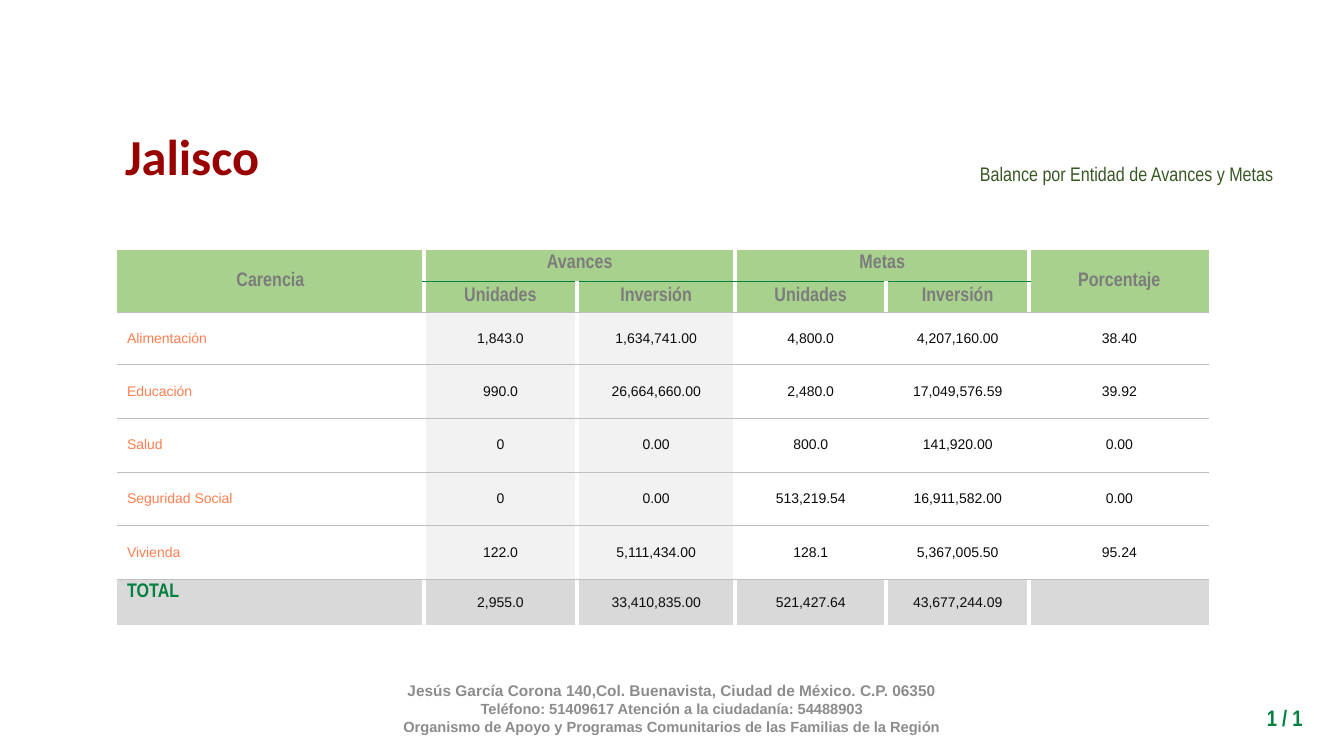
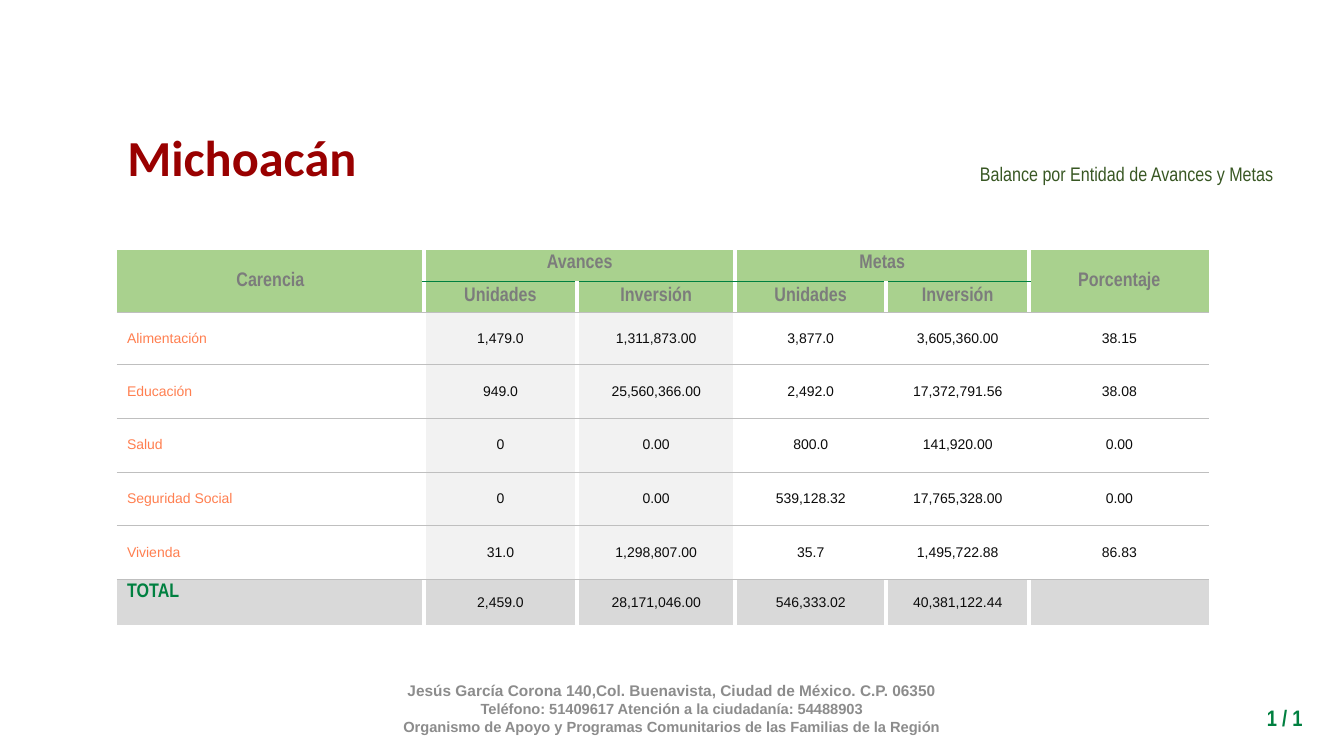
from dataclasses import dataclass
from typing import Optional

from lxml.etree import SubElement as Sub
from pptx import Presentation
from pptx.dml.color import RGBColor
from pptx.enum.text import MSO_ANCHOR as Anchor, MSO_AUTO_SIZE as Fit, PP_ALIGN as Align
from pptx.oxml.ns import qn
from pptx.util import Inches, Pt

WIDE, TALL = Inches(13.33), Inches(7.5)
GREEN, PALE, SILVER, RULE, WHITE = "008040", "F2F2F2", "D9D9D9", "BFBFBF", "FFFFFF"
COLS = (28.1, 14, 14.5, 13.8, 13.1, 16.5)
ROWS = (4.13, 4.13, 6.9, 7.1, 7.1, 7.1, 7.1, 6.25)
HEAD = (
    ("Carencia", "Avances", "", "Metas", "", "Porcentaje"),
    ("", "Unidades", "Inversión", "Unidades", "Inversión", ""),
)
NAMES = ("Alimentación", "Educación", "Salud", "Seguridad Social", "Vivienda", "TOTAL")
MERGES = (((0, 0), (1, 0)), ((0, 1), (0, 2)), ((0, 3), (0, 4)), ((0, 5), (1, 5)))
LAST = len(ROWS) - 1


@dataclass(frozen=True)
class Area:
    left: float
    top: float
    wide: float
    tall: float

    def emu(self) -> tuple:
        return (across(self.left), down(self.top), across(self.wide), down(self.tall))


@dataclass(frozen=True)
class Style:
    size: float
    face: str
    hue: str
    bold: bool = False
    align: Align = Align.CENTER


@dataclass(frozen=True)
class State:
    name: str
    area: Area
    data: tuple


TITLE = Style(36, "Calibri", "990000", True)
NOTE = Style(14, "Arial Narrow", "385723", align=Align.RIGHT)
PAGE = Style(16, "Arial Narrow", GREEN, True, Align.RIGHT)
TOP = Style(14, "Arial Narrow", "7C7C7C", True)
NAME = Style(10, "Arial", "FF7F50", align=Align.LEFT)
VALUE = Style(10, "Arial", "0B0B0B")
TOTAL = Style(14, "Arial Narrow", GREEN, True, Align.LEFT)
STREET = Style(11, "Arial", "8C8C8C", True)
PHONE = Style(10.5, "Arial", "8C8C8C", True)
FOOT = (
    ("Jesús García Corona 140,Col. Buenavista, Ciudad de México. C.P. 06350", STREET),
    ("Teléfono: 51409617 Atención a la ciudadanía: 54488903", PHONE),
    ("Organismo de Apoyo y Programas Comunitarios de las Familias de la Región", PHONE),
)

STATES = (
    State("Jalisco", Area(8.5, 15.87, 11.6, 9.47), (
        ("1,843.0", "1,634,741.00", "4,800.0", "4,207,160.00", "38.40"),
        ("990.0", "26,664,660.00", "2,480.0", "17,049,576.59", "39.92"),
        ("0", "0.00", "800.0", "141,920.00", "0.00"),
        ("0", "0.00", "513,219.54", "16,911,582.00", "0.00"),
        ("122.0", "5,111,434.00", "128.1", "5,367,005.50", "95.24"),
        ("2,955.0", "33,410,835.00", "521,427.64", "43,677,244.09", ""),
    )),
    State("Michoacán", Area(8.6, 16, 18.8, 9.47), (
        ("1,479.0", "1,311,873.00", "3,877.0", "3,605,360.00", "38.15"),
        ("949.0", "25,560,366.00", "2,492.0", "17,372,791.56", "38.08"),
        ("0", "0.00", "800.0", "141,920.00", "0.00"),
        ("0", "0.00", "539,128.32", "17,765,328.00", "0.00"),
        ("31.0", "1,298,807.00", "35.7", "1,495,722.88", "86.83"),
        ("2,459.0", "28,171,046.00", "546,333.02", "40,381,122.44", ""),
    )),
)


def across(share: float) -> int:
    return int(WIDE * share / 100)


def down(share: float) -> int:
    return int(TALL * share / 100)


def paint(fill, hue: str) -> None:
    fill.solid()
    fill.fore_color.rgb = RGBColor.from_string(hue)


def dress(para, style: Style) -> None:
    para.alignment = style.align
    font = para.font
    font.size, font.name, font.bold = Pt(style.size), style.face, style.bold
    paint(font.fill, style.hue)


def label(slide, area: Area, lines: tuple, anchor: Anchor = Anchor.MIDDLE):
    frame = slide.shapes.add_textbox(*area.emu()).text_frame
    frame.word_wrap, frame.vertical_anchor = True, anchor
    for num, (text, style) in enumerate(lines):
        para = frame.add_paragraph() if num else frame.paragraphs[0]
        para.text = text
        dress(para, style)
    return frame


def edges(cell, row: int, col: int) -> None:
    split = 0 < col < len(COLS) - 1
    rule, thin, side = (RULE, 0.5), (GREEN, 0.25), (WHITE, 3)
    over = {0: None, 1: thin}.get(row, rule)
    under = thin if row == 0 and split else side if row == LAST else rule
    marks: dict[str, Optional[tuple]] = {
        "a:lnL": side if col else None,
        "a:lnR": side if col < len(COLS) - 1 else None,
        "a:lnT": over,
        "a:lnB": under,
    }
    props = cell._tc.get_or_add_tcPr()
    for spot, (tag, mark) in enumerate(marks.items()):
        line = Sub(props, qn(tag))
        props.insert(spot, line)
        if mark:
            line.set("w", str(Pt(mark[1])))
            Sub(Sub(line, qn("a:solidFill")), qn("a:srgbClr")).set("val", mark[0])
        else:
            Sub(line, qn("a:noFill"))


def look(row: int, col: int) -> tuple:
    if row < 2:
        return TOP, "A9D18E"
    if row == LAST:
        return (VALUE if col else TOTAL), SILVER
    return (VALUE if col else NAME), (PALE if col in (1, 2) else None)


def grid(slide, data: tuple) -> None:
    area = Area(8.7, 33.07, 81.3, sum(ROWS))
    table = slide.shapes.add_table(len(ROWS), len(COLS), *area.emu()).table
    table.first_row = table.horz_banding = False
    for col, share in zip(table.columns, COLS):
        col.width = across(area.wide * share / 100)
    for row, share in zip(table.rows, ROWS):
        row.height = down(share)
    for first, final in MERGES:
        table.cell(*first).merge(table.cell(*final))
    texts = HEAD + tuple((name, *vals) for name, vals in zip(NAMES, data))
    for row, line in enumerate(texts):
        for col, text in enumerate(line):
            cell = table.cell(row, col)
            if cell.is_spanned:
                continue
            style, hue = look(row, col)
            cell.text = text
            dress(cell.text_frame.paragraphs[0], style)
            high = (row, col) in ((0, 1), (0, 3), (LAST, 0))
            cell.vertical_anchor = Anchor.TOP if high else Anchor.MIDDLE
            cell.margin_top = Inches(0.04 if high else 0.01)
            cell.margin_bottom = Inches(0.01)
            if hue:
                paint(cell.fill, hue)
            else:
                cell.fill.background()
            edges(cell, row, col)


def title(slide, state: State) -> None:
    head = slide.shapes.title
    head.left, head.top, head.width, head.height = state.area.emu()
    frame = head.text_frame
    frame.text = state.name
    frame.word_wrap, frame.auto_size = False, Fit.NONE
    frame.vertical_anchor = Anchor.TOP
    dress(frame.paragraphs[0], TITLE)


def frills(slide) -> None:
    label(slide, Area(21.6, 91, 56.8, 5.33), FOOT)
    note = label(slide, Area(50.2, 16.4, 45.3, 12.67),
                 (("Balance por Entidad de Avances y Metas", NOTE),))
    note.paragraphs[0].line_spacing = 1.15
    label(slide, Area(88.2, 92.53, 9.45, 4.93), (("1 / 1", PAGE),), Anchor.TOP)


def main() -> None:
    deck = Presentation()
    deck.slide_width, deck.slide_height = WIDE, TALL
    for state in STATES:
        slide = deck.slides.add_slide(deck.slide_layouts[5])
        title(slide, state)
        grid(slide, state.data)
        frills(slide)
    deck.save("out.pptx")


if __name__ == "__main__":
    main()
